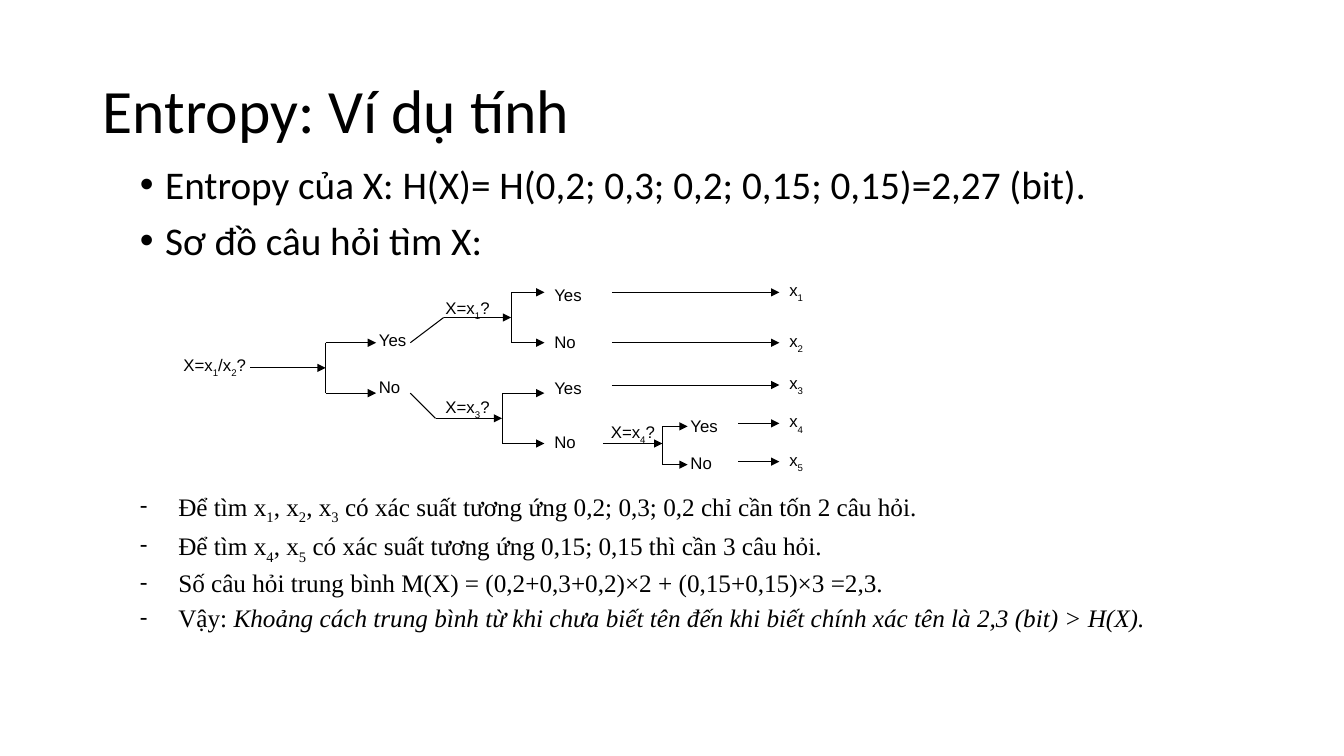
from lxml import etree
from pptx import Presentation
from pptx import util as u
from pptx.dml.color import RGBColor
from pptx.enum import shapes, text
from pptx.oxml.ns import qn

BLACK = "000000"

# question, label position, stem start, stem y, fork x, fork top, fork bottom,
# arrow tip, answer left, Yes top, No top
QUESTIONS = [
    ("X=x_1/x_2?", (0, 0.75), 0.76, 0.93, 1.51, 0.68, 1.18, 2.01, 1.94, 0.5, 0.97),
    ("X=x_1?", (2.6, 0.18), 2.68, 0.43, 3.35, 0.18, 0.68, 3.68, 3.68, 0.06, 0.52),
    ("X=x_3?", (2.6, 1.17), 2.6, 1.43, 3.26, 1.18, 1.68, 3.68, 3.68, 0.98, 1.51),
    ("X=x_4?", (4.24, 1.41), 4.26, 1.68, 4.85, 1.51, 1.89, 5.1, 5.03, 1.35, 1.72),
]
# label, arrow start, arrow y
OUTCOMES = [("x_1", 4.35, 0.18), ("x_2", 4.35, 0.68), ("x_3", 4.35, 1.1),
            ("x_4", 5.6, 1.48), ("x_5", 5.6, 1.86)]
OUTCOME_X = 6.01


def color(hex_string):
    return RGBColor.from_string(hex_string)


def add_runs(paragraph, content, font="Arial", size=12, italic=False, drop=-30):
    """Write text in which the character after each underscore is a subscript."""
    first, *rest = content.split("_")
    pieces = [(first, 0)]
    for piece in rest:
        pieces += [(piece[0], drop), (piece[1:], 0)]
    for wording, baseline in pieces:
        if not wording:
            continue
        run = paragraph.add_run()
        run.text = wording
        run.font.name, run.font.size = font, u.Pt(size)
        run.font.italic = italic
        run.font.color.rgb = color(BLACK)
        if baseline:
            run.font._element.set("baseline", str(baseline * 1000))


def add_box(slide, left, top, width, height, anchor=text.MSO_ANCHOR.TOP):
    shape = slide.shapes.add_textbox(*map(u.Inches, (left, top, width, height)))
    frame = shape.text_frame
    frame.word_wrap = True
    frame.vertical_anchor = anchor
    return frame


def add_list(slide, box, items, bullet, bullet_font, indent, before=0, after=0,
             align=text.PP_ALIGN.LEFT, **style):
    """Each item is a pair: plain text and italic text."""
    frame = add_box(slide, *box)
    for index, (plain, slanted) in enumerate(items):
        paragraph = frame.add_paragraph() if index else frame.paragraphs[0]
        paragraph.alignment = align
        paragraph.line_spacing = 0.9
        paragraph.space_before, paragraph.space_after = u.Pt(before), u.Pt(after)
        properties = paragraph._p.get_or_add_pPr()
        properties.set("marL", str(u.Inches(indent)))
        properties.set("indent", str(-u.Inches(indent)))
        etree.SubElement(properties, qn("a:buFont")).set("typeface", bullet_font)
        etree.SubElement(properties, qn("a:buChar")).set("char", bullet)
        add_runs(paragraph, plain, **style)
        add_runs(paragraph, slanted, italic=True, **style)


def add_title(slide, box, wording):
    paragraph = add_box(slide, *box, anchor=text.MSO_ANCHOR.MIDDLE).paragraphs[0]
    paragraph.line_spacing = 0.9
    add_runs(paragraph, wording, font="Calibri", size=44)


def add_question_tree(slide, left, top):
    def label(content, x, y, width=0.83):
        frame = add_box(slide, left + x, top + y, width, 0.38)
        add_runs(frame.paragraphs[0], content)

    def line(x1, y1, x2, y2, arrow=True):
        connector = slide.shapes.add_connector(
            shapes.MSO_CONNECTOR.STRAIGHT,
            *map(u.Inches, (left + x1, top + y1, left + x2, top + y2)))
        connector.line.color.rgb = color(BLACK)
        connector.line.width = u.Pt(0.75)
        if arrow:
            etree.SubElement(connector.line._get_or_add_ln(),
                             qn("a:tailEnd")).set("type", "triangle")
        etree.SubElement(connector._element.spPr, qn("a:effectLst"))

    # Questions, each with a stem and a fork
    for (question, place, start, stem_y, fork_x, fork_top, fork_bottom,
         tip, answer_x, yes_y, no_y) in QUESTIONS:
        line(start, stem_y, fork_x, stem_y)
        line(fork_x, fork_top, fork_x, fork_bottom, arrow=False)
        label(question, *place, width=1.08)
        for answer, arrow_y, answer_y in (("Yes", fork_top, yes_y),
                                          ("No", fork_bottom, no_y)):
            line(fork_x, arrow_y, tip, arrow_y)
            label(answer, answer_x, answer_y)

    # Slanted links from the first answers to the next questions
    line(2.35, 0.68, 2.68, 0.43, arrow=False)
    line(2.35, 1.18, 2.6, 1.43, arrow=False)

    # Outcomes
    for outcome, start, y in OUTCOMES:
        line(start, y, OUTCOME_X, y)
        label(outcome, OUTCOME_X, y - 0.17)


def build_entropy_slide(presentation):
    slide = presentation.slides.add_slide(presentation.slide_layouts[6])
    add_title(slide, (0.92, 0.4, 11.5, 1.45), "Entropy: Ví dụ tính")
    add_list(slide, (1.29, 1.59, 11.5, 1.1), [
        ("Entropy của X: H(X)= H(0,2; 0,3; 0,2; 0,15; 0,15)=2,27 (bit).", ""),
        ("Sơ đồ câu hỏi tìm X:", ""),
    ], "•", "Arial", 0.25, before=10, font="Calibri", size=28)
    add_question_tree(slide, 1.72, 2.72)
    add_list(slide, (1.29, 4.83, 11.5, 1.52), [
        ("Để tìm x_1, x_2, x_3 có xác suất tương ứng 0,2; 0,3; 0,2 "
         "chỉ cần tốn 2 câu hỏi.", ""),
        ("Để tìm x_4, x_5 có xác suất tương ứng 0,15; 0,15 thì cần 3 câu hỏi.", ""),
        ("Số câu hỏi trung bình M(X) = (0,2+0,3+0,2)×2 + (0,15+0,15)×3 =2,3.", ""),
        ("Vậy: ", "Khoảng cách trung bình từ khi chưa biết tên đến khi biết "
                  "chính xác tên là 2,3 (bit) > H(X)."),
    ], "-", "Calibri", 0.38, after=6, align=text.PP_ALIGN.JUSTIFY,
        font="Times New Roman", size=18, drop=-25)


presentation = Presentation()
presentation.slide_width = u.Inches(13.33)
presentation.slide_height = u.Inches(7.5)
build_entropy_slide(presentation)
presentation.save("out.pptx")
